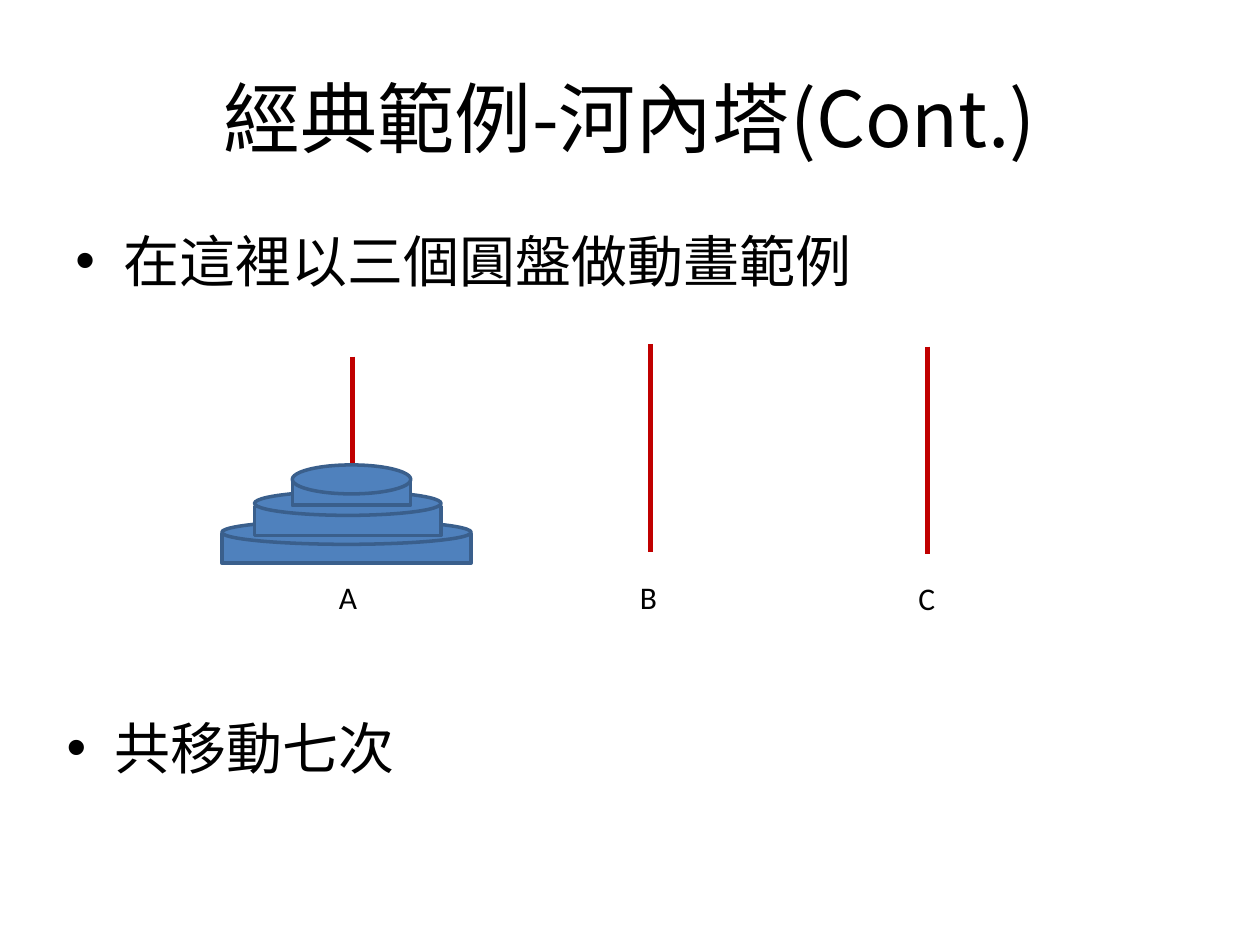
from dataclasses import dataclass

from lxml import etree
from pptx import Presentation
from pptx.dml.color import RGBColor
from pptx.enum.shapes import MSO_CONNECTOR, MSO_SHAPE
from pptx.enum.text import MSO_ANCHOR, MSO_AUTO_SIZE, PP_ALIGN
from pptx.oxml.ns import qn
from pptx.util import Inches, Pt

STRAIGHT = MSO_CONNECTOR.STRAIGHT
RECTANGLE = MSO_SHAPE.RECTANGLE
OVAL = MSO_SHAPE.OVAL
MIDDLE = MSO_ANCHOR.MIDDLE
TOP = MSO_ANCHOR.TOP
CENTER = PP_ALIGN.CENTER
NO_FIT = MSO_AUTO_SIZE.NONE
GROW = MSO_AUTO_SIZE.SHAPE_TO_FIT_TEXT


@dataclass(frozen=True)
class Theme:
    text: RGBColor = RGBColor(0x00, 0x00, 0x00)
    peg: RGBColor = RGBColor(0xC0, 0x00, 0x00)
    disc: RGBColor = RGBColor(0x4F, 0x81, 0xBD)
    rim: RGBColor = RGBColor(0x3A, 0x5F, 0x8C)
    chinese_font: str = "Noto Sans CJK SC"
    label_font: str = "Calibri"
    title_size: int = 44
    bullet_size: int = 32
    label_size: int = 18
    peg_width: int = 3
    rim_width: int = 2


class SlideBuilder:
    def __init__(self, slide, theme):
        self.slide = slide
        self.theme = theme

    def add_span(self, para, text, font_name, size):
        span = para.add_run()
        span.text = text
        span.font.name = font_name
        span.font.size = Pt(size)
        span.font.color.rgb = self.theme.text
        east_asian = etree.SubElement(span.font._element, qn("a:ea"))
        east_asian.set("typeface", font_name)

    def title(self, text, left, top, width, height):
        box = self.slide.shapes.title
        box.left, box.top = Inches(left), Inches(top)
        box.width, box.height = Inches(width), Inches(height)
        frame = box.text_frame
        frame.auto_size = NO_FIT
        frame.vertical_anchor = MIDDLE
        para = frame.paragraphs[0]
        para.alignment = CENTER
        self.add_span(para, text, self.theme.chinese_font, self.theme.title_size)

    def text_box(self, left, top, width, height, wrap, fit):
        box = self.slide.shapes.add_textbox(
            Inches(left), Inches(top), Inches(width), Inches(height))
        frame = box.text_frame
        frame.word_wrap = wrap
        frame.auto_size = fit
        frame.vertical_anchor = TOP
        return frame.paragraphs[0]

    def bullet(self, text, left, top, width, height):
        para = self.text_box(left, top, width, height, True, NO_FIT)
        properties = para._p.get_or_add_pPr()
        properties.set("marL", str(Inches(0.38)))
        properties.set("indent", str(Inches(-0.38)))
        etree.SubElement(properties, qn("a:buFont")).set("typeface", "Arial")
        etree.SubElement(properties, qn("a:buChar")).set("char", "•")
        self.add_span(para, text, self.theme.chinese_font, self.theme.bullet_size)

    def label(self, text, left, top, width):
        para = self.text_box(left, top, width, 0.4, False, GROW)
        self.add_span(para, text, self.theme.label_font, self.theme.label_size)

    def peg(self, center, top, height):
        peg = self.slide.shapes.add_connector(
            STRAIGHT, Inches(center), Inches(top), Inches(center), Inches(top + height))
        peg.line.color.rgb = self.theme.peg
        peg.line.width = Pt(self.theme.peg_width)
        etree.SubElement(peg._element.spPr, qn("a:effectLst"))

    def solid(self, kind, left, top, width, height):
        shape = self.slide.shapes.add_shape(
            kind, Inches(left), Inches(top), Inches(width), Inches(height))
        shape.shadow.inherit = False
        shape.fill.solid()
        shape.fill.fore_color.rgb = self.theme.disc
        shape.line.color.rgb = self.theme.rim
        shape.line.width = Pt(self.theme.rim_width)

    def disc(self, left, width, side_top, side_height, face_top, face_height):
        self.solid(RECTANGLE, left, side_top, width, side_height)
        self.solid(OVAL, left, face_top, width, face_height)


def main():
    deck = Presentation()
    deck.slide_width, deck.slide_height = Inches(10), Inches(7.5)
    page = SlideBuilder(deck.slides.add_slide(deck.slide_layouts[5]), Theme())

    page.title("經典範例-河內塔(Cont.)", 0.5, 0.3, 9, 1.25)
    page.bullet("在這裡以三個圓盤做動畫範例", 0.5, 1.75, 8.67, 0.82)

    for center, top in ((5.16, 2.73), (7.36, 2.75), (2.8, 2.83)):
        page.peg(center, top, 1.65)

    discs = (
        (1.76, 1.98, 4.24, 0.23, 4.13, 0.19),
        (2.02, 1.48, 4.02, 0.23, 3.9, 0.19),
        (2.32, 0.94, 3.81, 0.2, 3.69, 0.23),
    )
    for disc in discs:
        page.disc(*disc)

    for name, left, top, width in (
            ("A", 2.59, 4.54, 0.35), ("B", 4.98, 4.54, 0.34), ("C", 7.19, 4.55, 0.34)):
        page.label(name, left, top, width)

    page.bullet("共移動七次", 0.43, 5.61, 8.67, 0.82)
    deck.save("out.pptx")


if __name__ == "__main__":
    main()
